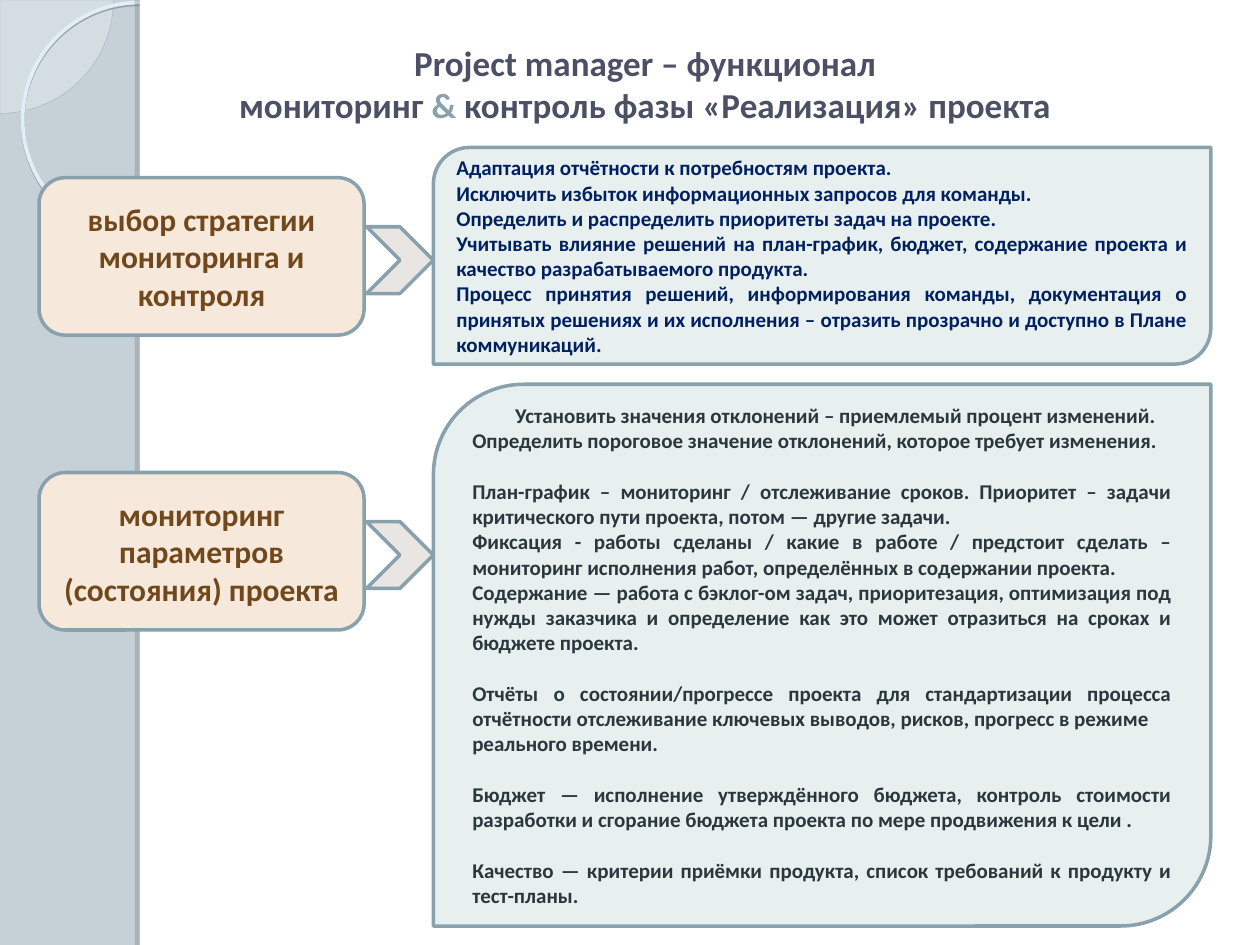
from lxml import etree
from pptx import Presentation
from pptx.dml.color import RGBColor
from pptx.enum.shapes import MSO_SHAPE
from pptx.enum.text import MSO_ANCHOR, PP_ALIGN
from pptx.oxml.ns import qn
from pptx.util import Inches, Pt

RECT, ELLIPSE = MSO_SHAPE.RECTANGLE, MSO_SHAPE.OVAL
ROUNDED, CHEVRON = MSO_SHAPE.ROUNDED_RECTANGLE, MSO_SHAPE.CHEVRON
DIAGONAL, QUARTER = MSO_SHAPE.ROUND_2_DIAG_RECTANGLE, MSO_SHAPE.PIE_WEDGE
CENTER, JUSTIFY = PP_ALIGN.CENTER, PP_ALIGN.JUSTIFY
MIDDLE = MSO_ANCHOR.MIDDLE

TITLE = [
    [("Project manager – функционал", "4B5064")],
    [("мониторинг ", "4B5064"), ("&", "88A1AD"),
     (" контроль фазы «Реализация» проекта", "4B5064")],
]
STRATEGY = [
    "Адаптация отчётности к потребностям проекта.",
    "Исключить избыток информационных запросов для команды.",
    "Определить и распределить приоритеты задач на проекте.",
    "Учитывать влияние решений на план-график, бюджет, содержание проекта и качество "
    "разрабатываемого продукта.",
    "Процесс принятия решений, информирования команды, документация о принятых решениях "
    "и их исполнения – отразить прозрачно и доступно в Плане коммуникаций.",
]
PARAMETERS = [
    "Установить значения отклонений – приемлемый процент изменений.",
    "Определить пороговое значение отклонений, которое требует изменения.",
    "План-график – мониторинг / отслеживание сроков. Приоритет – задачи критического пути "
    "проекта, потом — другие задачи.",
    "Фиксация - работы сделаны / какие в работе / предстоит сделать – мониторинг исполнения "
    "работ, определённых в содержании проекта.",
    "Содержание — работа с бэклог-ом задач, приоритезация, оптимизация под нужды заказчика "
    "и определение как это может отразиться на сроках и бюджете проекта.",
    "Отчёты о состоянии/прогрессе проекта для стандартизации процесса отчётности "
    "отслеживание ключевых выводов, рисков, прогресс в режиме",
    "реального времени.",
    "Бюджет — исполнение утверждённого бюджета, контроль стоимости разработки и сгорание "
    "бюджета проекта по мере продвижения к цели .",
    "Качество — критерии приёмки продукта, список требований к продукту и тест-планы.",
]
GROUP_STARTS = (2, 5, 7, 8)


def color(value):
    return RGBColor.from_string(value)


class SlideBuilder:
    """Holds the slide and its common style."""

    font = "Calibri"
    outline = "88A1AD"
    outline_width = 2

    def __init__(self, slide):
        self.slide = slide

    def background(self, fill):
        self.slide.background.fill.solid()
        self.slide.background.fill.fore_color.rgb = color(fill)

    def shape(self, kind, box, fill=None, line=None, width=outline_width):
        item = self.slide.shapes.add_shape(kind, *map(Inches, box))
        item.shadow.inherit = False
        if fill:
            item.fill.solid()
            item.fill.fore_color.rgb = color(fill)
        else:
            item.fill.background()
        if line:
            item.line.color.rgb = color(line)
            item.line.width = Pt(width)
        else:
            item.line.fill.background()
        return item

    def opacity(self, parent, percent):
        """Add an alpha value to the colour element found in parent."""
        rgb = next(parent.iter(qn("a:srgbClr")))
        etree.SubElement(rgb, qn("a:alpha")).set("val", str(percent * 1000))

    def shadow(self, item, tint, percent, distance, angle):
        effects = item.element.spPr.find(qn("a:effectLst"))
        outer = etree.SubElement(effects, qn("a:outerShdw"), blurRad="0",
                                 dist=str(Pt(distance)), dir=str(angle * 60000),
                                 algn="tl", rotWithShape="0")
        etree.SubElement(outer, qn("a:srgbClr")).set("val", tint)
        self.opacity(outer, percent)

    def style_paragraph(self, paragraph, align, size, tint=None):
        paragraph.alignment = align
        for run in paragraph.runs:
            run.font.name, run.font.size, run.font.bold = self.font, Pt(size), True
            if tint:
                run.font.color.rgb = color(tint)

    def fill_text(self, item, lines, align, size, tint):
        frame = item.text_frame
        frame.word_wrap, frame.vertical_anchor = True, MIDDLE
        frame.text = "\n".join(lines)
        for paragraph in frame.paragraphs:
            self.style_paragraph(paragraph, align, size, tint)
        return frame.paragraphs

    def title(self, box, lines, size):
        frame = self.slide.shapes.add_textbox(*map(Inches, box)).text_frame
        frame.word_wrap, frame.vertical_anchor = True, MIDDLE
        for index, parts in enumerate(lines):
            paragraph = frame.add_paragraph() if index else frame.paragraphs[0]
            for text, tint in parts:
                run = paragraph.add_run()
                run.text = text
                run.font.color.rgb = color(tint)
            self.style_paragraph(paragraph, CENTER, size)

    def stage(self, top, name):
        """Draw a stage box and the chevron that leads to its details."""
        label = self.shape(ROUNDED, (0.31, top, 2.58, 1.25), "F6E9DB", self.outline)
        self.fill_text(label, [name], CENTER, 18, "71481C")
        self.shape(CHEVRON, (2.91, top + 0.39, 0.53, 0.53), "E8E5E2", self.outline)

    def details(self, top, height, lines, tint):
        panel = self.shape(DIAGONAL, (3.44, top, 6.17, height), "E8EFEF", self.outline)
        return self.fill_text(panel, lines, JUSTIFY, 12, tint)


def main():
    deck = Presentation()
    deck.slide_width, deck.slide_height = Inches(10), Inches(7.5)
    builder = SlideBuilder(deck.slides.add_slide(deck.slide_layouts[6]))

    builder.background("C5D1D7")
    corner = builder.shape(QUARTER, (0, 0, 0.9, 0.9), "F4F8FA", "A0B5BF", 0.25)
    corner.rotation = 180
    builder.opacity(corner.element.spPr.find(qn("a:solidFill")), 33)
    ring = builder.shape(ELLIPSE, (0.18, 0.02, 1.86, 1.86), line="E0EEF6", width=2.15)
    builder.shadow(ring, "8D9AA1", 85, 1, 90)
    builder.shape(RECT, (1.11, 0, 8.89, 7.5), "FFFFFF")
    edge = builder.shape(RECT, (1.11, 0, 0.08, 7.5), "FFFFFF")
    builder.shadow(edge, "5D6468", 25, 3, 180)

    builder.title((0.63, 0.31, 8.98, 0.7), TITLE, 20)
    builder.stage(1.41, "выбор стратегии мониторинга и контроля")
    builder.details(1.17, 1.72, STRATEGY, "002060")
    builder.stage(3.75, "мониторинг параметров (состояния) проекта")
    parameters = builder.details(3.05, 4.3, PARAMETERS, "2A373D")
    parameters[0]._p.get_or_add_pPr().set("indent", str(Inches(0.34)))
    for index in GROUP_STARTS:
        parameters[index].space_before = Pt(14.5)

    deck.save("out.pptx")


if __name__ == "__main__":
    main()
